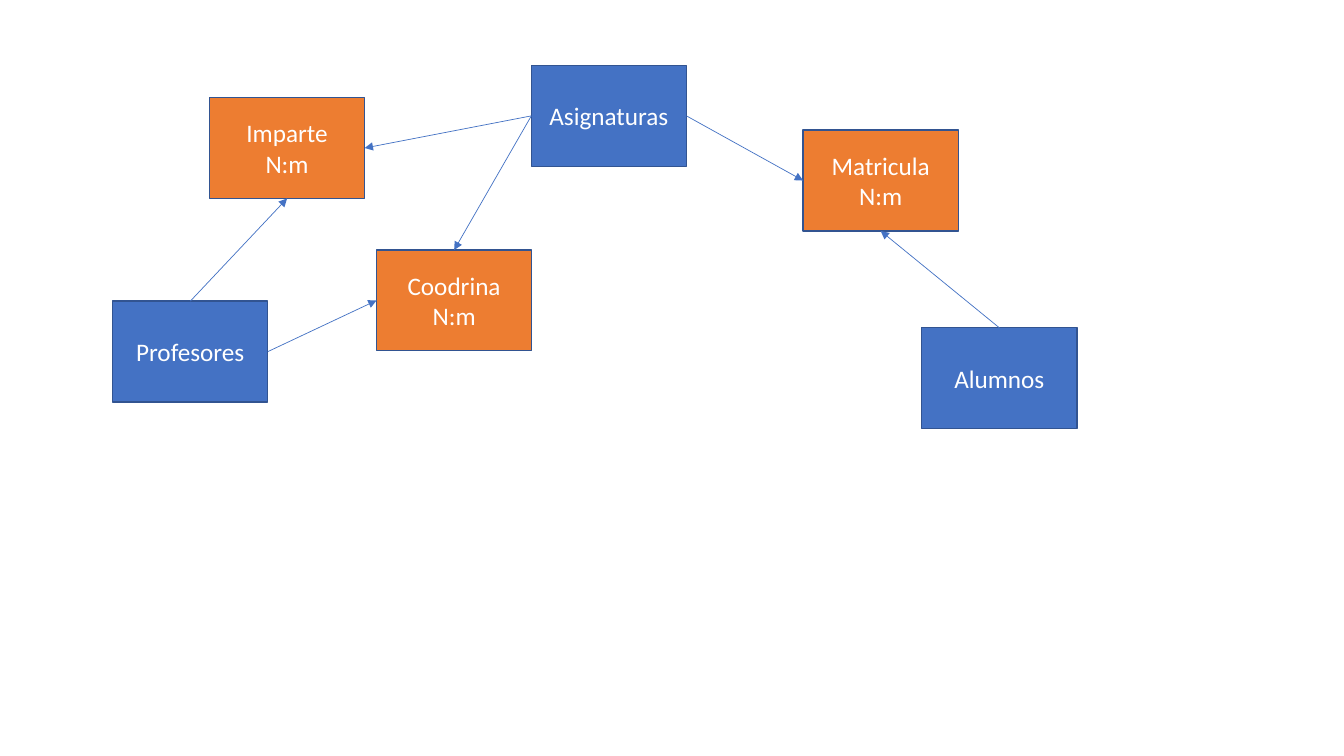
"""Build an entity-relationship diagram of subjects, teachers and students."""
from lxml import etree
from pptx import Presentation
from pptx import util as u
from pptx.dml.color import RGBColor
from pptx.enum import shapes, text
from pptx.oxml.ns import qn

BLUE = RGBColor(0x44, 0x72, 0xC4)
ORANGE = RGBColor(0xED, 0x7D, 0x31)
OUTLINE = RGBColor(0x32, 0x54, 0x91)
WHITE = RGBColor(0xFF, 0xFF, 0xFF)

TOP, LEFT, BOTTOM, RIGHT = range(4)
BOX_WIDTH, BOX_HEIGHT = u.Cm(3.91), u.Cm(2.54)

ENTITIES = {
    "Asignaturas": (13.39, 1.65),
    "Profesores": (2.84, 7.59),
    "Alumnos": (23.23, 8.26),
}
RELATIONS = {
    "Imparte": (5.28, 2.46),
    "Matricula": (20.24, 3.28),
    "Coodrina": (9.49, 6.3),
}
CARDINALITY = "N:m"
LINKS = [
    ("Asignaturas", LEFT, "Imparte", RIGHT),
    ("Profesores", TOP, "Imparte", BOTTOM),
    ("Asignaturas", RIGHT, "Matricula", LEFT),
    ("Alumnos", TOP, "Matricula", BOTTOM),
    ("Asignaturas", LEFT, "Coodrina", TOP),
    ("Profesores", RIGHT, "Coodrina", LEFT),
]


def add_box(slide, label, position, color):
    left, top = position
    box = slide.shapes.add_shape(
        shapes.MSO_SHAPE.RECTANGLE, u.Cm(left), u.Cm(top), BOX_WIDTH, BOX_HEIGHT)
    box.shadow.inherit = False
    box.fill.solid()
    box.fill.fore_color.rgb = color
    box.line.color.rgb = OUTLINE
    box.line.width = u.Pt(1)
    frame = box.text_frame
    frame.text = label
    frame.word_wrap = True
    frame.vertical_anchor = text.MSO_ANCHOR.MIDDLE
    for para in frame.paragraphs:
        para.alignment = text.PP_ALIGN.CENTER
        para.font.name = "Calibri"
        para.font.size = u.Pt(18)
        para.font.color.rgb = WHITE
    return box


def add_arrow(slide, source, source_side, target, target_side):
    arrow = slide.shapes.add_connector(shapes.MSO_CONNECTOR.STRAIGHT, 0, 0, 0, 0)
    arrow.begin_connect(source, source_side)
    arrow.end_connect(target, target_side)
    arrow.line.color.rgb = BLUE
    arrow.line.width = u.Pt(0.5)
    etree.SubElement(arrow.line._get_or_add_ln(), qn("a:tailEnd"), type="triangle")
    etree.SubElement(arrow._element.spPr, qn("a:effectLst"))


def main():
    deck = Presentation()
    deck.slide_width, deck.slide_height = u.Cm(33.87), u.Cm(19.05)
    slide = deck.slides.add_slide(deck.slide_layouts[6])
    boxes = {}
    for name, position in ENTITIES.items():
        boxes[name] = add_box(slide, name, position, BLUE)
    for name, position in RELATIONS.items():
        boxes[name] = add_box(slide, f"{name}\n{CARDINALITY}", position, ORANGE)
    for source, source_side, target, target_side in LINKS:
        add_arrow(slide, boxes[source], source_side, boxes[target], target_side)
    deck.save("out.pptx")


if __name__ == "__main__":
    main()
